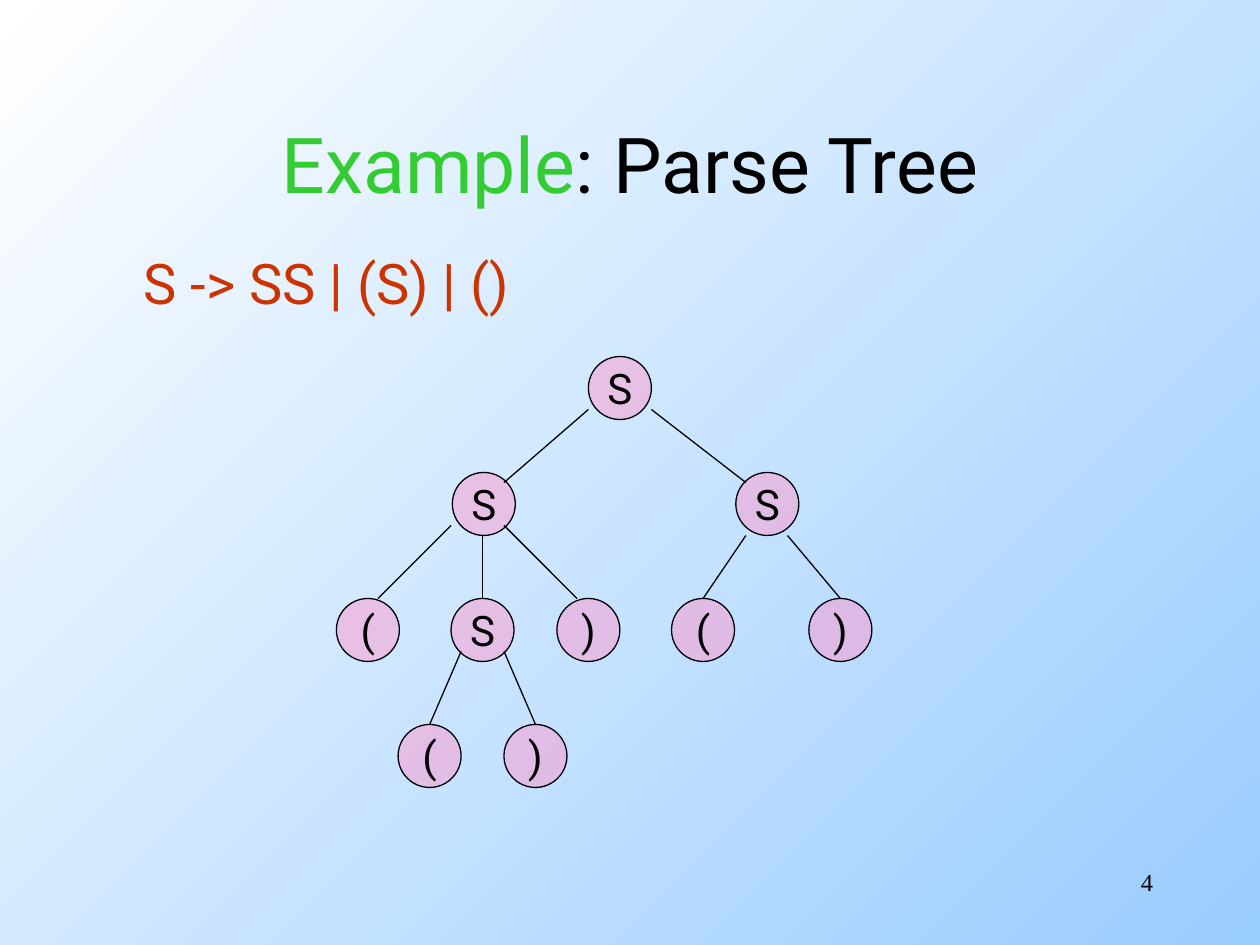
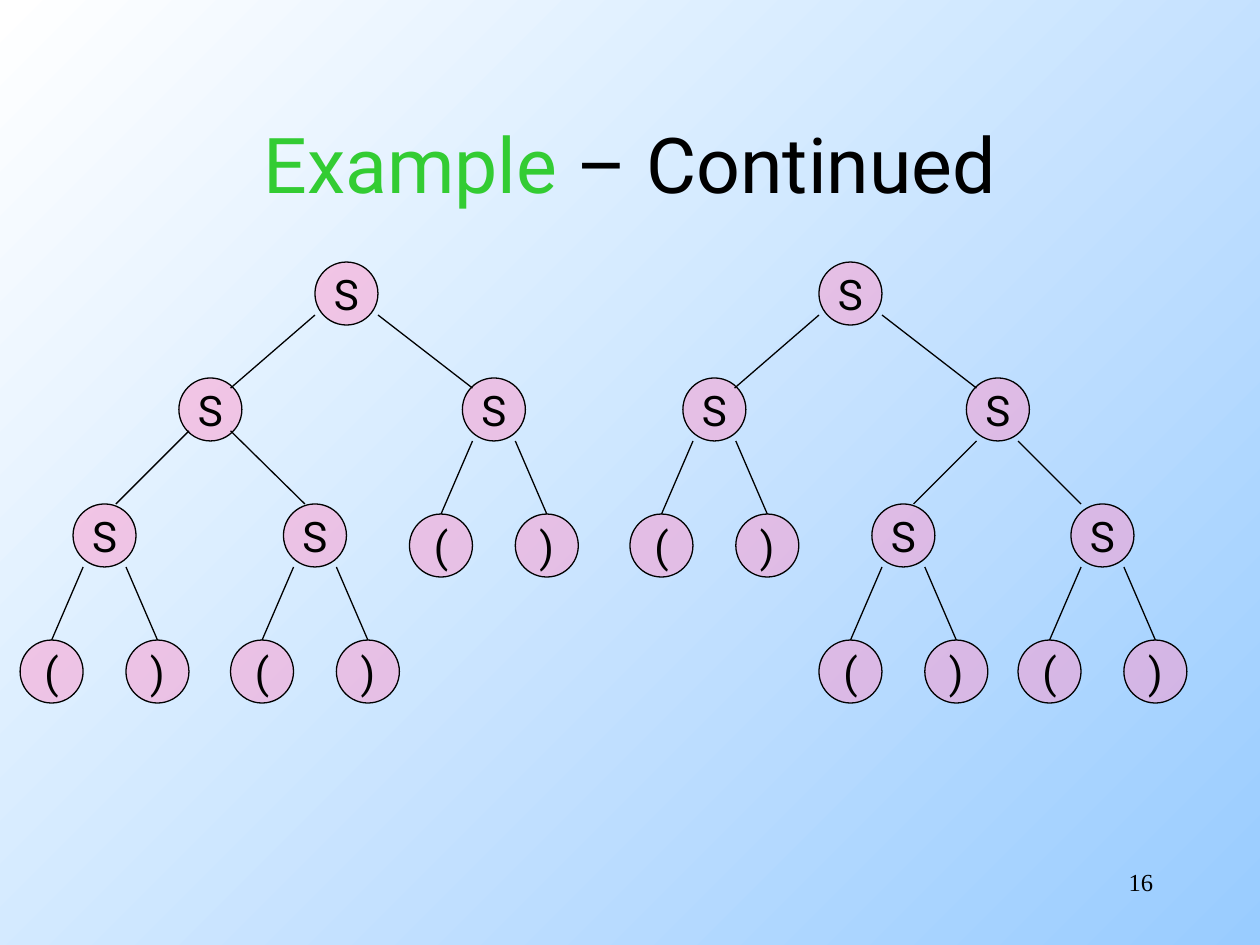
from pptx import Presentation
from pptx.dml.color import RGBColor
from pptx.enum.shapes import MSO_CONNECTOR, MSO_SHAPE
from pptx.enum.text import MSO_ANCHOR, MSO_AUTO_SIZE, PP_ALIGN
from pptx.oxml.ns import qn
from pptx.util import Inches, Pt
from lxml.etree import SubElement

HUES = {
    "black": "000000",
    "green": "33CC33",
    "red": "CC3300",
    "pink": "FF99CC",
    "white": "FFFFFF",
    "sky": "99CCFF",
}


def hue(name):
    """Return the named colour."""
    return RGBColor.from_string(HUES[name])


class Deck:
    """Holds the style and the current slide."""

    font = "Roboto"
    size = 0.5

    def __init__(self):
        """Start a deck with the shared gradient."""
        self.show = Presentation()
        self.show.slide_width = Inches(10)
        self.show.slide_height = Inches(7.5)
        fill = self.show.slide_master.background.fill
        fill.gradient()
        fill.gradient_angle = 315
        for stop, name in zip(fill.gradient_stops, ("white", "sky")):
            stop.color.rgb = hue(name)

    def words(self, frame, runs, size, align=PP_ALIGN.LEFT, font=font):
        """Put (text, colour) runs in one paragraph."""
        para = frame.paragraphs[0]
        para.alignment = align
        for text, name in runs:
            run = para.add_run()
            run.text = text
            run.font.name = font
            run.font.size = Pt(size)
            run.font.color.rgb = hue(name)

    def page(self, rest, number):
        """Add a slide with its title and number."""
        self.slide = self.show.slides.add_slide(self.show.slide_layouts[5])
        title = self.slide.shapes.title
        title.left, title.top = Inches(0.75), Inches(0.67)
        title.width, title.height = Inches(8.5), Inches(1.25)
        frame = title.text_frame
        frame.auto_size = MSO_AUTO_SIZE.NONE
        frame.vertical_anchor = MSO_ANCHOR.MIDDLE
        self.words(frame, [("Example", "green"), (rest, "black")], 44, PP_ALIGN.CENTER)
        self.text(7.17, 6.83, 2.08, 0.5, number, "black", 14,
                  align=PP_ALIGN.RIGHT, font="Times New Roman")

    def text(self, x, y, wide, high, text, name, size, wrap=True, **style):
        """Add a text box."""
        box = self.slide.shapes.add_textbox(Inches(x), Inches(y), Inches(wide), Inches(high))
        box.text_frame.word_wrap = wrap
        self.words(box.text_frame, [(text, name)], size, **style)

    def node(self, x, y, label="S"):
        """Add a round tree node."""
        side = Inches(self.size)
        dot = self.slide.shapes.add_shape(MSO_SHAPE.OVAL, Inches(x), Inches(y), side, side)
        dot.shadow.inherit = False
        dot.fill.solid()
        dot.fill.fore_color.rgb = hue("pink")
        tint = dot.element.spPr.find(qn("a:solidFill")).find(qn("a:srgbClr"))
        SubElement(tint, qn("a:alpha"), val="50000")
        dot.line.color.rgb = hue("black")
        dot.line.width = Pt(0.75)
        dot.text_frame.word_wrap = False
        dot.text_frame.vertical_anchor = MSO_ANCHOR.MIDDLE
        self.words(dot.text_frame, [(label, "black")], 24, PP_ALIGN.CENTER)

    def link(self, *ends):
        """Add a line from x, y to x, y."""
        line = self.slide.shapes.add_connector(
            MSO_CONNECTOR.STRAIGHT, *(Inches(end) for end in ends))
        line.line.color.rgb = hue("black")
        line.line.width = Pt(0.75)
        SubElement(line.element.spPr, qn("a:effectLst"))

    def root(self, x, y):
        """Add a root with its two children."""
        self.node(x, y)
        self.node(x + 1.17, y + 0.92)
        self.node(x - 1.08, y + 0.92)
        self.link(x, y + 0.42, x - 0.67, y + 1)
        self.link(x + 0.5, y + 0.42, x + 1.25, y + 1)

    def pair(self, x, y, drop=1.08):
        """Add a pair of bracket leaves below the node at x, y."""
        low = y + drop
        self.node(x - 0.42, low, "(")
        self.node(x + 0.42, low, ")")
        self.link(x + 0.08, low - 0.58, x - 0.17, low)
        self.link(x + 0.42, low - 0.58, x + 0.67, low)


def single(deck):
    """Build the parse tree slide."""
    deck.page(": Parse Tree", "4")
    deck.text(1.04, 1.92, 3.29, 0.64, "S -> SS | (S) | ()", "red", 32, wrap=False)
    deck.root(4.67, 2.83)
    leaves = ((2.67, "("), (3.58, "S"), (4.42, ")"), (5.33, "("), (6.42, ")"))
    for x, label in leaves:
        deck.node(x, 4.75, label)
    links = ((3.58, 4.17, 3), (3.83, 4.25, 3.83), (4, 4.17, 4.58),
             (5.92, 4.25, 5.58), (6.25, 4.25, 6.67))
    for x, y, end in links:
        deck.link(x, y, end, 4.75)
    deck.pair(3.58, 4.75, 1)


def double(deck):
    """Build the slide with two trees."""
    deck.page(" – Continued", "16")
    for x in (2.5, 6.5):
        deck.root(x, 2.08)
    for x in (0.58, 2.25, 6.92, 8.5):
        deck.node(x, 4)
        deck.pair(x, 4)
    for x in (3.67, 5.42):
        deck.pair(x, 3)
    links = ((1.5, 3.42, 0.92), (1.83, 3.42, 2.42),
             (7.75, 3.5, 7.25), (8.08, 3.5, 8.58))
    for x, y, end in links:
        deck.link(x, y, end, 4)


def main():
    """Build and save the deck."""
    deck = Deck()
    single(deck)
    double(deck)
    deck.show.save("out.pptx")


if __name__ == "__main__":
    main()
